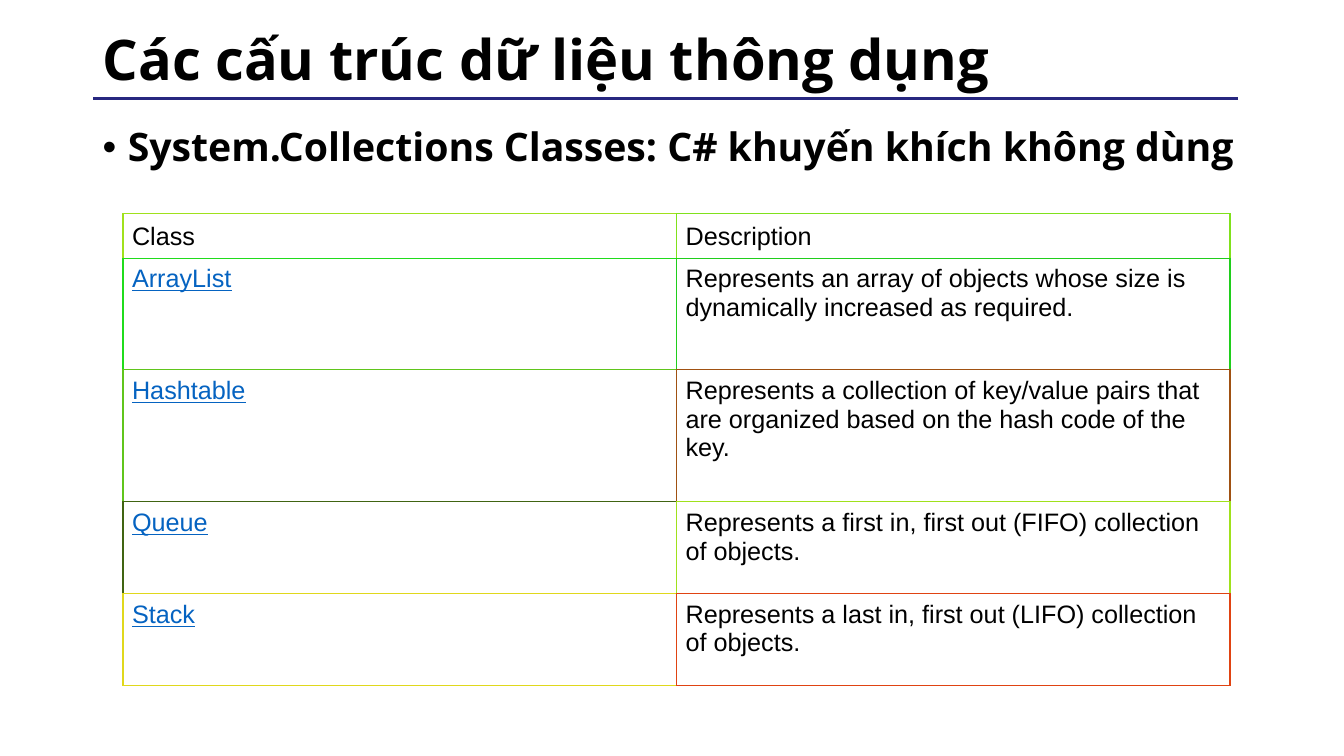
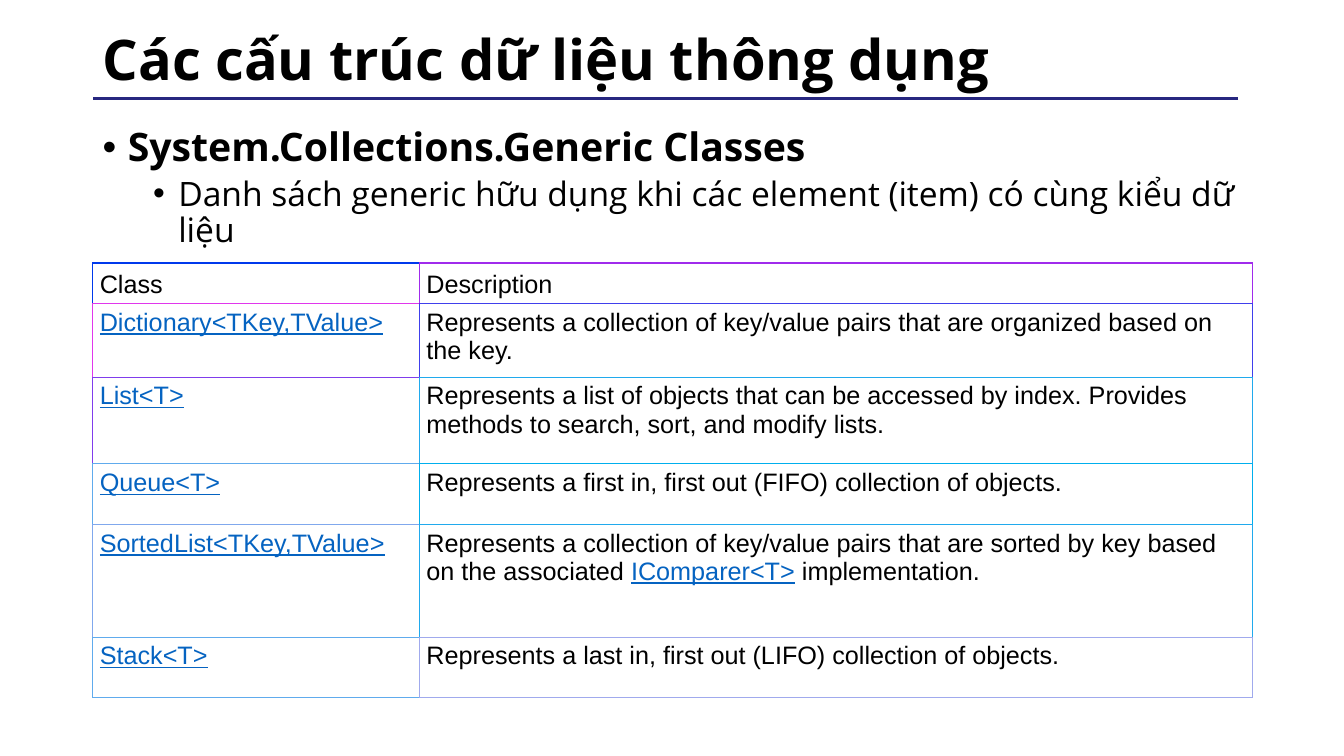
from dataclasses import dataclass

from lxml.etree import SubElement
from pptx import Presentation
from pptx.dml.color import RGBColor
from pptx.enum.shapes import MSO_CONNECTOR
from pptx.enum.text import MSO_ANCHOR
from pptx.oxml.ns import qn
from pptx.util import Pt

PX = 9144


def px(n):
    """Turn whole px, a hundred to the inch, into EMU."""
    return n * PX


@dataclass(frozen=True)
class Theme:
    """Colours, fonts and type sizes of the deck."""
    ink: str = "000000"
    paper: str = "FFFFFF"
    rule: str = "272780"
    link: str = "0563C1"
    font: str = "Open Sans"
    table_font: str = "Arial"
    title: int = 40
    levels: tuple = (28, 24)
    cell: int = 18


def add_run(p, text, *, size, font, color, bold=False, underline=False):
    """Add one formatted run to a paragraph."""
    r = p.add_run()
    r.text = text
    f = r.font
    f.size, f.name, f.bold, f.underline = Pt(size), font, bold, underline
    f.color.rgb = RGBColor.from_string(color)


def add_border(tc_pr, side, color, width):
    """Draw one side of a table cell."""
    ln = SubElement(tc_pr, qn(f"a:ln{side}"), w=str(Pt(width)))
    fill = SubElement(ln, qn("a:solidFill"))
    SubElement(fill, qn("a:srgbClr"), val=color)


class Deck:
    """Hold the theme, the presentation and the current slide."""

    def __init__(self, theme):
        """Start an empty wide presentation."""
        self.theme = theme
        self.prs = Presentation()
        self.prs.slide_width, self.prs.slide_height = px(1333), px(750)
        self.s = None

    def page(self, title):
        """Start a slide with its rule and title."""
        t = self.theme
        self.s = self.prs.slides.add_slide(self.prs.slide_layouts[6])
        self.line(1228, 98, 92, 98)
        tf = self.box(92, 17, 1150, 89, MSO_ANCHOR.MIDDLE)
        p = tf.paragraphs[0]
        p.line_spacing = 0.9
        add_run(p, title, size=t.title, font=t.font, color=t.ink, bold=True)

    def line(self, x1, y1, x2, y2):
        """Draw a straight rule."""
        c = self.s.shapes.add_connector(
            MSO_CONNECTOR.STRAIGHT, px(x1), px(y1), px(x2), px(y2))
        c.line.color.rgb = RGBColor.from_string(self.theme.rule)
        c.line.width = Pt(2)
        SubElement(c._element.spPr, qn("a:effectLst"))

    def box(self, x, y, w, h, anchor=MSO_ANCHOR.TOP):
        """Add a wrapping text box and return its text frame."""
        sp = self.s.shapes.add_textbox(px(x), px(y), px(w), px(h))
        tf = sp.text_frame
        tf.word_wrap = True
        tf.vertical_anchor = anchor
        return tf

    def bullets(self, *texts):
        """Add the body, one bullet level deeper for each text."""
        t = self.theme
        tf = self.box(92, 122, 1150, 553)
        for level, text in enumerate(texts):
            p = tf.add_paragraph() if level else tf.paragraphs[0]
            p.level = level
            p.line_spacing = 0.9
            p.space_before = Pt(5 * level)
            p_pr = p._p.get_or_add_pPr()
            p_pr.set("marL", str(px(25 + 50 * level)))
            p_pr.set("indent", str(px(-25)))
            color = SubElement(p_pr, qn("a:buClr"))
            SubElement(color, qn("a:srgbClr"), val=t.ink)
            SubElement(p_pr, qn("a:buFont"), typeface="Arial")
            SubElement(p_pr, qn("a:buChar"), char="•")
            add_run(p, text, size=t.levels[level], font=t.font,
                    color=t.ink, bold=level == 0)

    def table(self, x, y, widths, heights, rows, colors, margins):
        """Add a table whose cells each own a border colour."""
        tbl = self.s.shapes.add_table(
            len(rows), len(widths), px(x), px(y),
            px(sum(widths)), px(sum(heights))).table
        tbl.first_row = tbl.horz_banding = False
        for col, w in zip(tbl.columns, widths):
            col.width = px(w)
        for row, h in zip(tbl.rows, heights):
            row.height = px(h)
        for i, row in enumerate(rows):
            for j, text in enumerate(row):
                self.cell(tbl.cell(i, j), text, margins, header=i == 0)
                self.borders(tbl.cell(i, j), colors, i, j)

    def cell(self, cell, text, margins, header):
        """Fill a cell; parts between bars are styled as links."""
        t = self.theme
        side, edge = map(px, margins)
        cell.margin_left = cell.margin_right = side
        cell.margin_top = cell.margin_bottom = edge
        cell.vertical_anchor = MSO_ANCHOR.BOTTOM if header else MSO_ANCHOR.TOP
        p = cell.text_frame.paragraphs[0]
        for k, part in enumerate(text.split("|")):
            link = k % 2 == 1
            if part:
                add_run(p, part, size=t.cell, font=t.table_font,
                        color=t.link if link else t.ink, underline=link)

    def borders(self, cell, colors, i, j):
        """Use the cell's colour left and top, its neighbours' right and below."""
        own = colors[i][j]
        last_row, last_col = i == len(colors) - 1, j == len(colors[i]) - 1
        tc_pr = cell._tc.get_or_add_tcPr()
        add_border(tc_pr, "L", own, 1)
        add_border(tc_pr, "R", own if last_col else colors[i][j + 1], 1)
        add_border(tc_pr, "T", own, 0.75 if i else 1)
        add_border(tc_pr, "B", own if last_row else colors[i + 1][j],
                   1 if last_row else 0.75)
        cell.fill.solid()
        cell.fill.fore_color.rgb = RGBColor.from_string(self.theme.paper)


TITLE = "Các cấu trúc dữ liệu thông dụng"
HEADER = ("Class", "Description")
FIFO = "Represents a first in, first out (FIFO) collection of objects."
LIFO = "Represents a last in, first out (LIFO) collection of objects."
PAIRS = "Represents a collection of key/value pairs that are"

CLASSES = [
    HEADER,
    ("|ArrayList|", "Represents an array of objects whose size is "
                    "dynamically increased as required."),
    ("|Hashtable|", f"{PAIRS} organized based on the hash code of the key."),
    ("|Queue|", FIFO),
    ("|Stack|", LIFO),
]
CLASS_COLORS = [
    ("A0E11C", "80E11C"),
    ("20DC1C", "20CE1C"),
    ("60C51C", "A05112"),
    ("406412", "A0E11C"),
    ("E0D81C", "E04312"),
]

GENERICS = [
    HEADER,
    ("|Dictionary<TKey,TValue>|", f"{PAIRS} organized based on the key."),
    ("|List<T>|", "Represents a list of objects that can be accessed by index. "
                  "Provides methods to search, sort, and modify lists."),
    ("|Queue<T>|", FIFO),
    ("|SortedList<TKey,TValue>|", f"{PAIRS} sorted by key based on the "
                                  "associated |IComparer<T>| implementation."),
    ("|Stack<T>|", LIFO),
]
GENERIC_COLORS = [
    ("0039EC", "A02BEC"),
    ("E037EC", "403FEC"),
    ("803DEC", "20AAED"),
    ("60ABED", "00AFED"),
    ("80A8ED", "20AAED"),
    ("60ABED", "A0AAED"),
]


def main():
    """Build both slides and save them."""
    deck = Deck(Theme())

    deck.page(TITLE)
    deck.bullets("System.Collections Classes: C# khuyến khích không dùng")
    deck.table(122, 212, (549, 549), (31, 111, 131, 91, 91),
               CLASSES, CLASS_COLORS, margins=(9, 7))

    deck.page(TITLE)
    deck.bullets(
        "System.Collections.Generic Classes",
        "Danh sách generic hữu dụng khi các element (item) có cùng kiểu dữ liệu")
    deck.table(92, 261, (324, 826), (36, 73, 86, 60, 112, 60),
               GENERICS, GENERIC_COLORS, margins=(7, 5))

    deck.prs.save("out.pptx")


if __name__ == "__main__":
    main()
